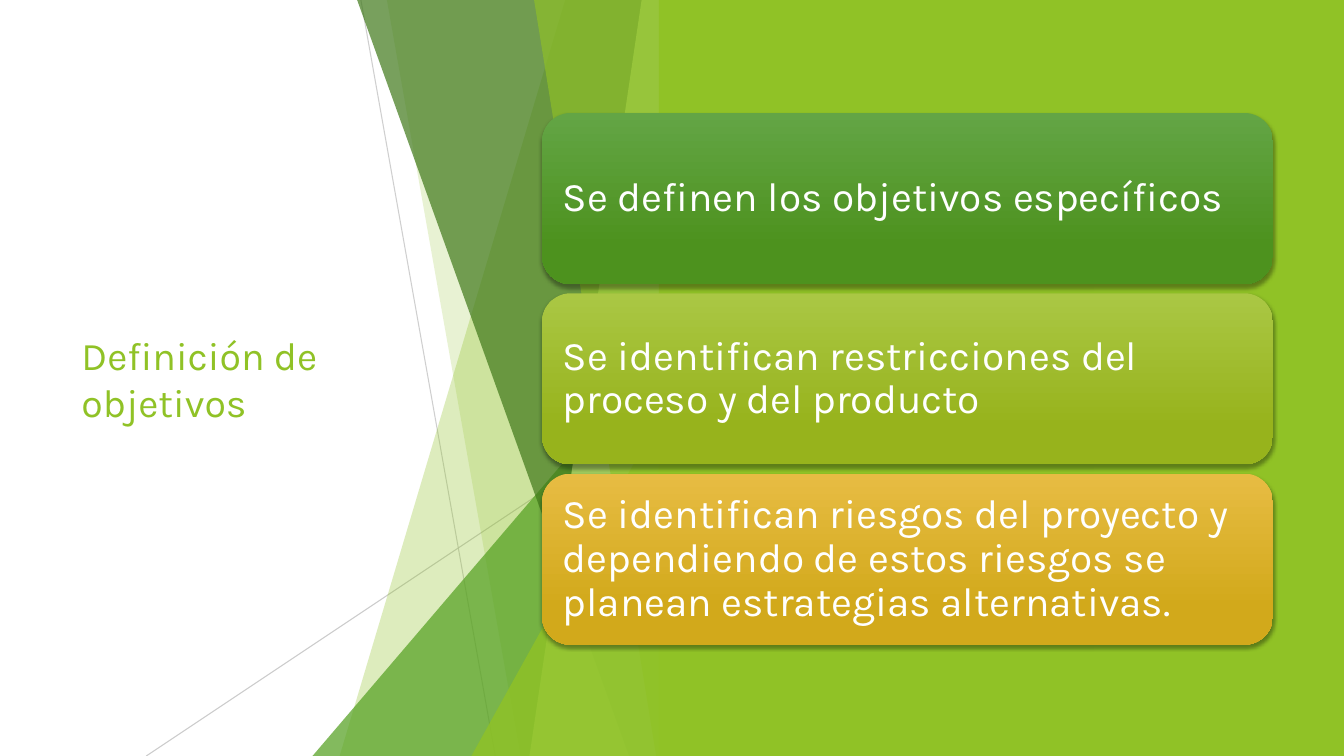
import pptx
import pptx.dml.color
import pptx.enum.shapes
import pptx.enum.text
import pptx.oxml
import pptx.oxml.ns
import pptx.util

Pt = pptx.util.Pt
SHAPES = pptx.enum.shapes.MSO_SHAPE
MIDDLE = pptx.enum.text.MSO_ANCHOR.MIDDLE

TITLE = "Definición de objetivos"
COLORS = {
    "lime": "90C226", "green": "54A021", "forest": "3F7819",
    "pale": "C0E474", "gray": "BFBFBF", "white": "FFFFFF",
}
CARDS = [
    ("Se definen los objetivos específicos", "63A545", "4D921E"),
    ("Se identifican restricciones del proceso y del producto", "AAC744", "97B31C"),
    ("Se identifican riesgos del proyecto y dependiendo de estos riesgos "
     "se planean estrategias alternativas.", "E7BC43", "D2A91B"),
]
# start x, start y, end x, end y, opacity
LINES = [(257.8, 0, 353.8, 540, 75), (479.5, 290, 104.5, 540, 80)]
# kind, then top x and bottom x of a band or left and top of a triangle, colour, opacity
FACETS = [
    ("band", 403.9, 242.6, "lime", 30),
    ("band", 276.3, 371.8, "lime", 20),
    ("triangle", 223.2, 240, "green", 72),
    ("band", 254.9, 449.3, "forest", 70),
    ("band", 458.4, 378.2, "pale", 70),
    ("band", 381.4, 468.7, "lime", 65),
    ("triangle", 336.7, 282.8, "lime", 80),
]
WIDTH, HEIGHT = 960, 540
FACET_RIGHT, FACET_TOP = 479.6, -0.6
PANEL_LEFT = 470.6
CARD_LEFT, CARD_TOP, CARD_WIDTH, CARD_HEIGHT, CARD_STEP = 387.2, 80.7, 522, 122.3, 128.8
A_NAMESPACE = pptx.oxml.ns.nsdecls("a")


def rgb(value):
    return pptx.dml.color.RGBColor.from_string(value)


def set_opacity(shape, percent):
    """Make the single solid colour of a shape's fill or line translucent."""
    color = shape._element.spPr.find(".//" + pptx.oxml.ns.qn("a:srgbClr"))
    color.append(pptx.oxml.parse_xml(f'<a:alpha {A_NAMESPACE} val="{percent * 1000}"/>'))


def set_effects(shape, effects=""):
    shape._element.spPr.append(
        pptx.oxml.parse_xml(f"<a:effectLst {A_NAMESPACE}>{effects}</a:effectLst>"))


def style_solid(shape, color):
    shape.shadow.inherit = False
    shape.fill.solid()
    shape.fill.fore_color.rgb = rgb(COLORS[color])
    shape.line.fill.background()


def write_text(shape, text, size, color):
    frame = shape.text_frame
    frame.word_wrap = True
    frame.vertical_anchor = MIDDLE
    paragraph = frame.paragraphs[0]
    paragraph.text = text
    paragraph.alignment = pptx.enum.text.PP_ALIGN.LEFT
    paragraph.font.name = "Karla"
    paragraph.font.size = Pt(size)
    paragraph.font.color.rgb = rgb(COLORS[color])
    return frame


def add_line(slide, x1, y1, x2, y2, opacity):
    line = slide.shapes.add_connector(
        pptx.enum.shapes.MSO_CONNECTOR.STRAIGHT, Pt(x1), Pt(y1), Pt(x2), Pt(y2))
    line.line.color.rgb = rgb(COLORS["gray"])
    line.line.width = Pt(0.75)
    set_opacity(line, opacity)
    set_effects(line)


def add_facet(slide, kind, first, second, color, opacity):
    if kind == "band":
        builder = slide.shapes.build_freeform(Pt(first), Pt(FACET_TOP))
        corners = [(FACET_RIGHT, FACET_TOP), (FACET_RIGHT, HEIGHT), (second, HEIGHT)]
        builder.add_line_segments([(Pt(x), Pt(y)) for x, y in corners], close=True)
        facet = builder.convert_to_shape()
    else:
        facet = slide.shapes.add_shape(
            SHAPES.ISOSCELES_TRIANGLE, Pt(first), Pt(second),
            Pt(FACET_RIGHT - first), Pt(HEIGHT - second))
        facet.adjustments[0] = 1
    style_solid(facet, color)
    set_opacity(facet, opacity)


def add_card(slide, index, text, top_color, bottom_color):
    card = slide.shapes.add_shape(
        SHAPES.ROUNDED_RECTANGLE, Pt(CARD_LEFT), Pt(CARD_TOP + index * CARD_STEP),
        Pt(CARD_WIDTH), Pt(CARD_HEIGHT))
    card.fill.gradient()
    card.fill.gradient_angle = 270
    stops = card.fill.gradient_stops
    for stop, position, color in zip(stops, (0, 0.78), (top_color, bottom_color)):
        stop.position = position
        stop.color.rgb = rgb(color)
    card.line.fill.background()
    set_effects(card, f'<a:outerShdw blurRad="{Pt(3)}" dist="{Pt(2)}" dir="5400000" '
                      'rotWithShape="0"><a:srgbClr val="000000"><a:alpha val="35000"/>'
                      '</a:srgbClr></a:outerShdw>')
    frame = write_text(card, text, 29, "white")
    frame.paragraphs[0].line_spacing = 0.9
    frame.margin_left = frame.margin_right = Pt(8.7)
    frame.margin_top = frame.margin_bottom = Pt(8.7)


def main():
    presentation = pptx.Presentation()
    presentation.slide_width, presentation.slide_height = Pt(WIDTH), Pt(HEIGHT)
    slide = presentation.slides.add_slide(presentation.slide_layouts[6])
    slide.background.fill.solid()
    slide.background.fill.fore_color.rgb = rgb(COLORS["white"])

    title = slide.shapes.add_textbox(Pt(51.1), Pt(108.7), Pt(279.4), Pt(322.6))
    write_text(title, TITLE, 28, "lime")
    for line in LINES:
        add_line(slide, *line)
    for facet in FACETS:
        add_facet(slide, *facet)
    panel = slide.shapes.add_shape(
        SHAPES.RECTANGLE, Pt(PANEL_LEFT), 0, Pt(WIDTH - PANEL_LEFT), Pt(HEIGHT))
    style_solid(panel, "lime")
    for index, card in enumerate(CARDS):
        add_card(slide, index, *card)
    presentation.save("out.pptx")


if __name__ == "__main__":
    main()
